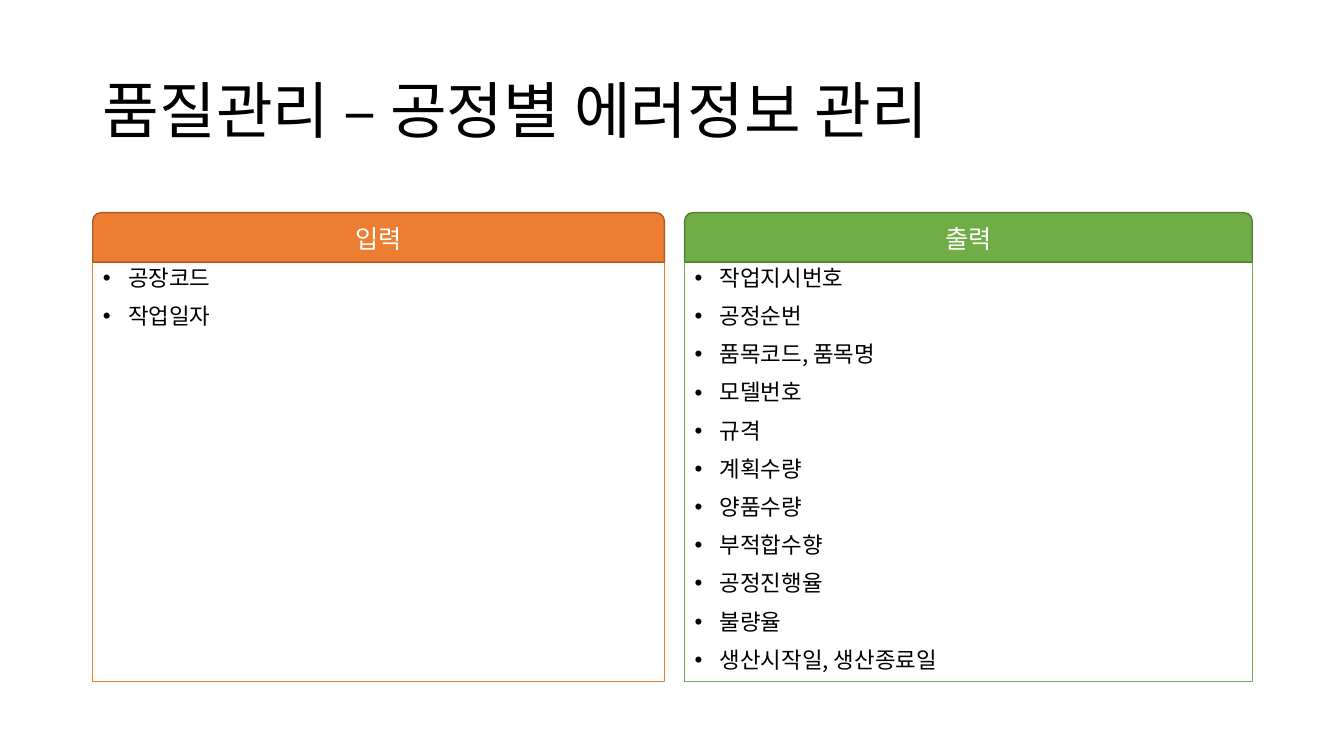
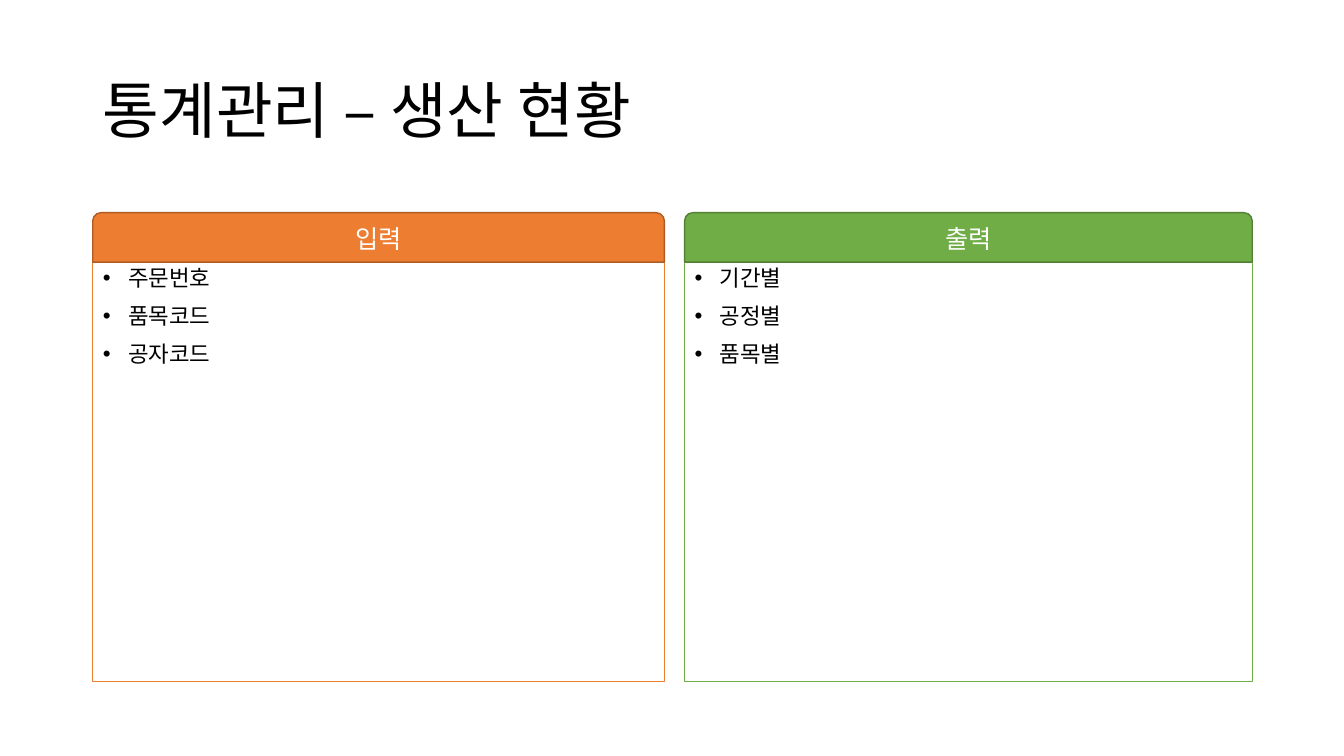
from dataclasses import dataclass

from lxml.etree import SubElement
from pptx import Presentation
from pptx.dml.color import RGBColor as RGB
from pptx.enum.shapes import MSO_SHAPE as Preset
from pptx.enum.text import MSO_ANCHOR as Anchor, MSO_AUTO_SIZE as AutoSize, PP_ALIGN as Align
from pptx.oxml.ns import qn
from pptx.util import Inches, Pt


@dataclass(frozen=True)
class Panel:
    heading: str
    left: float
    width: float
    fill: str
    edge: str


@dataclass(frozen=True)
class Theme:
    font: str = "Noto Sans CJK KR"
    ink: str = "000000"
    paper: str = "FFFFFF"
    title_size: int = 44
    heading_size: int = 18
    list_size: int = 16
    line_width: int = 1
    heading_height: float = 0.49
    list_indent: float = 0.25


THEME = Theme()
TITLE_BOX = (0.92, 0.4, 11.5, 1.45)
PANEL_TOP, PANEL_HEIGHT = 2.11, 4.65
PANELS = (
    Panel("입력", 0.92, 5.67, "ED7D31", "AF5C24"),
    Panel("출력", 6.79, 5.63, "70AD47", "538035"),
)

PAGES = (
    (
        "품질관리 – 공정별 에러정보 관리",
        (
            ("공장코드", "작업일자"),
            (
                "작업지시번호", "공정순번", "품목코드, 품목명", "모델번호",
                "규격", "계획수량", "양품수량", "부적합수향", "공정진행율",
                "불량율", "생산시작일, 생산종료일",
            ),
        ),
    ),
    (
        "통계관리 – 생산 현황",
        (
            ("주문번호", "품목코드", "공자코드"),
            ("기간별", "공정별", "품목별"),
        ),
    ),
)


def place(shape, left, top, width, height):
    shape.left, shape.top = Inches(left), Inches(top)
    shape.width, shape.height = Inches(width), Inches(height)


def paint(shape, fill, edge):
    shape.fill.solid()
    shape.fill.fore_color.rgb = RGB.from_string(fill)
    shape.line.color.rgb = RGB.from_string(edge)
    shape.line.width = Pt(THEME.line_width)


def write(shape, *lines, size, color=THEME.ink, align=Align.LEFT,
          anchor=Anchor.TOP, spacing=None, before=0, indent=None):
    frame = shape.text_frame
    frame.word_wrap = True
    frame.auto_size = AutoSize.NONE
    frame.vertical_anchor = anchor
    for number, line in enumerate(lines):
        paragraph = frame.add_paragraph() if number else frame.paragraphs[0]
        paragraph.alignment = align
        paragraph.space_before = Pt(before)
        if spacing:
            paragraph.line_spacing = spacing
        if indent:
            properties = paragraph._p.get_or_add_pPr()
            properties.set("marL", str(Inches(indent)))
            properties.set("indent", str(-Inches(indent)))
        run = paragraph.add_run()
        run.text = line
        run.font.size = Pt(size)
        run.font.color.rgb = RGB.from_string(color)
        run.font.name = THEME.font
        SubElement(run._r.get_or_add_rPr(), qn("a:ea"), typeface=THEME.font)


def add_title(slide, text, box):
    title = slide.shapes.title
    place(title, *box)
    write(title, text, size=THEME.title_size, anchor=Anchor.MIDDLE, spacing=0.9)


def add_panel(slide, items_box, panel, items, top, height):
    place(items_box, panel.left, top + THEME.heading_height,
          panel.width, height - THEME.heading_height)
    paint(items_box, THEME.paper, panel.fill)
    write(items_box, *items, size=THEME.list_size, spacing=0.9,
          before=10, indent=THEME.list_indent)

    heading = slide.shapes.add_shape(
        Preset.ROUND_2_SAME_RECTANGLE, Inches(panel.left), Inches(top),
        Inches(panel.width), Inches(THEME.heading_height))
    heading.shadow.inherit = False
    paint(heading, panel.fill, panel.edge)
    write(heading, panel.heading, size=THEME.heading_size, color=THEME.paper,
          align=Align.CENTER, anchor=Anchor.MIDDLE)


def add_page(deck, title, lists):
    two_content = deck.slide_layouts[3]
    slide = deck.slides.add_slide(two_content)
    add_title(slide, title, TITLE_BOX)
    for index, (panel, items) in enumerate(zip(PANELS, lists), start=1):
        add_panel(slide, slide.placeholders[index], panel, items,
                  PANEL_TOP, PANEL_HEIGHT)


def main():
    deck = Presentation()
    deck.slide_width, deck.slide_height = Inches(13.33), Inches(7.5)
    for title, lists in PAGES:
        add_page(deck, title, lists)
    deck.save("out.pptx")


if __name__ == "__main__":
    main()
